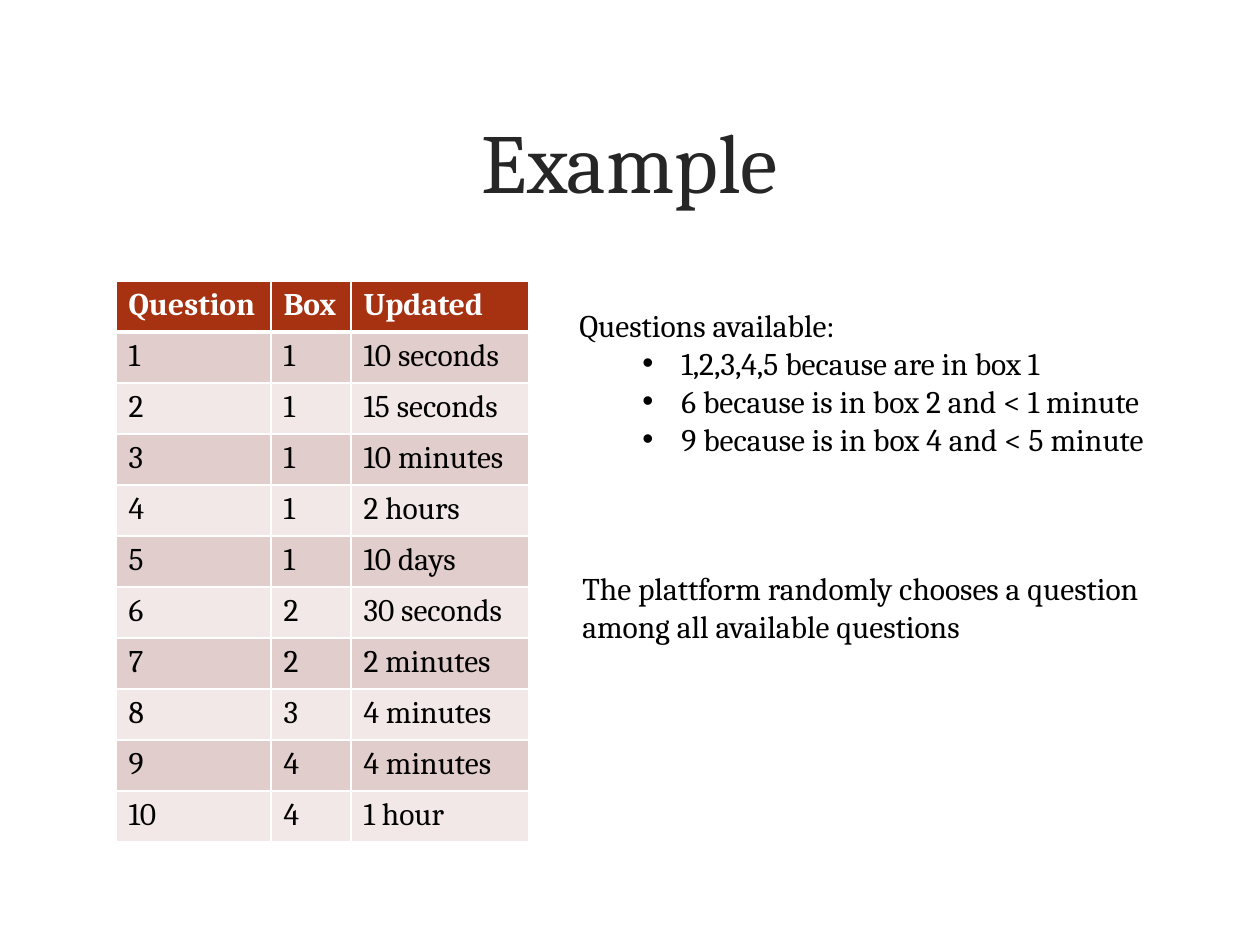
from lxml.etree import SubElement
from pptx import Presentation
from pptx.dml.color import RGBColor
from pptx.enum.text import MSO_ANCHOR as Anchor, MSO_AUTO_SIZE as AutoSize, PP_ALIGN as Align
from pptx.oxml.ns import qn
from pptx.util import Emu, Pt

FONT = "Cambria"
WHITE = RGBColor(0xFF, 0xFF, 0xFF)
BLACK = RGBColor(0x00, 0x00, 0x00)
TITLE_GREY = RGBColor(0x26, 0x26, 0x26)
HEADER_RED = RGBColor(0xA6, 0x32, 0x12)
BANDS = (RGBColor(0xF1, 0xE8, 0xE7), RGBColor(0xE1, 0xCE, 0xCC))

COLUMN_WIDTHS = (155, 80, 178)
ROWS = (
    ("Question", "Box", "Updated"),
    ("1", "1", "10 seconds"),
    ("2", "1", "15 seconds"),
    ("3", "1", "10 minutes"),
    ("4", "1", "2 hours"),
    ("5", "1", "10 days"),
    ("6", "2", "30 seconds"),
    ("7", "2", "2 minutes"),
    ("8", "3", "4 minutes"),
    ("9", "4", "4 minutes"),
    ("10", "4", "1 hour"),
)
REASONS = (
    "1,2,3,4,5 because are in box 1",
    "6 because is in box 2 and < 1 minute",
    "9 because is in box 4 and < 5 minute",
)


def px(length):
    """Turn pixels, 126 to the inch, into EMU."""
    return Emu(round(length * 914400 / 126))


def place(shape, box):
    """Move a shape to a pixel box of left, top, width, height."""
    shape.left, shape.top, shape.width, shape.height = map(px, box)


def write(para, text, size=18, color=BLACK, bold=False, align=Align.LEFT):
    """Write one formatted span into a paragraph."""
    para.alignment = align
    span = para.add_run()
    span.text = text
    span.font.name, span.font.size, span.font.bold = FONT, Pt(size), bold
    span.font.color.rgb = color


def add_bullet(para, left, hanging):
    """Give a paragraph a round bullet with a hanging indent."""
    props = para._p.get_or_add_pPr()
    props.set("marL", str(px(left)))
    props.set("indent", str(-px(hanging)))
    SubElement(props, qn("a:buFont"), typeface="Arial")
    SubElement(props, qn("a:buChar"), char="•")


def add_borders(cell, bottom):
    """Draw white cell borders, 1 pt except for the bottom one."""
    props = cell._tc.get_or_add_tcPr()
    for side, width in (("L", 1), ("R", 1), ("T", 1), ("B", bottom)):
        line = SubElement(props, qn(f"a:ln{side}"), w=str(Pt(width)))
        fill = SubElement(line, qn("a:solidFill"))
        SubElement(fill, qn("a:srgbClr"), val=str(WHITE))


def add_title(page, box, text):
    """Place and fill the title placeholder."""
    title = page.shapes.title
    place(title, box)
    title.text_frame.vertical_anchor = Anchor.MIDDLE
    write(title.text_frame.paragraphs[0], text, size=48, color=TITLE_GREY, align=Align.CENTER)


def add_question_table(page, left, top, row_height):
    """Build the banded table of questions."""
    frame = page.shapes.add_table(
        len(ROWS), len(COLUMN_WIDTHS), px(left), px(top),
        px(sum(COLUMN_WIDTHS)), px(row_height * len(ROWS)))
    table = frame.table
    for column, width in zip(table.columns, COLUMN_WIDTHS):
        column.width = px(width)
    for row_index, values in enumerate(ROWS):
        header = row_index == 0
        table.rows[row_index].height = px(row_height)
        for cell, value in zip(table.rows[row_index].cells, values):
            add_borders(cell, bottom=3 if header else 1)
            cell.fill.solid()
            cell.fill.fore_color.rgb = HEADER_RED if header else BANDS[row_index % 2]
            write(cell.text_frame.paragraphs[0], value,
                  color=WHITE if header else BLACK, bold=header)


def add_note(page, box, text, bullets=()):
    """Add a text box with a lead sentence and optional bullets."""
    frame = page.shapes.add_textbox(*map(px, box)).text_frame
    frame.word_wrap = True
    frame.auto_size = AutoSize.NONE
    write(frame.paragraphs[0], text)
    for bullet in bullets:
        para = frame.add_paragraph()
        para.level = 1
        write(para, bullet)
        add_bullet(para, left=102, hanging=39)


def build_example(deck):
    """Lay out the example slide."""
    page = deck.slides.add_slide(deck.slide_layouts[5])
    add_title(page, (76, 60, 1108, 199), "Example")
    add_question_table(page, left=116, top=281, row_height=51)
    add_note(page, (567, 300, 651, 242), "Questions available:", REASONS)
    add_note(page, (570, 563, 617, 89),
             "The plattform randomly chooses a question among all available questions")


deck = Presentation()
deck.slide_width, deck.slide_height = px(1260), px(945)
build_example(deck)
deck.save("out.pptx")
